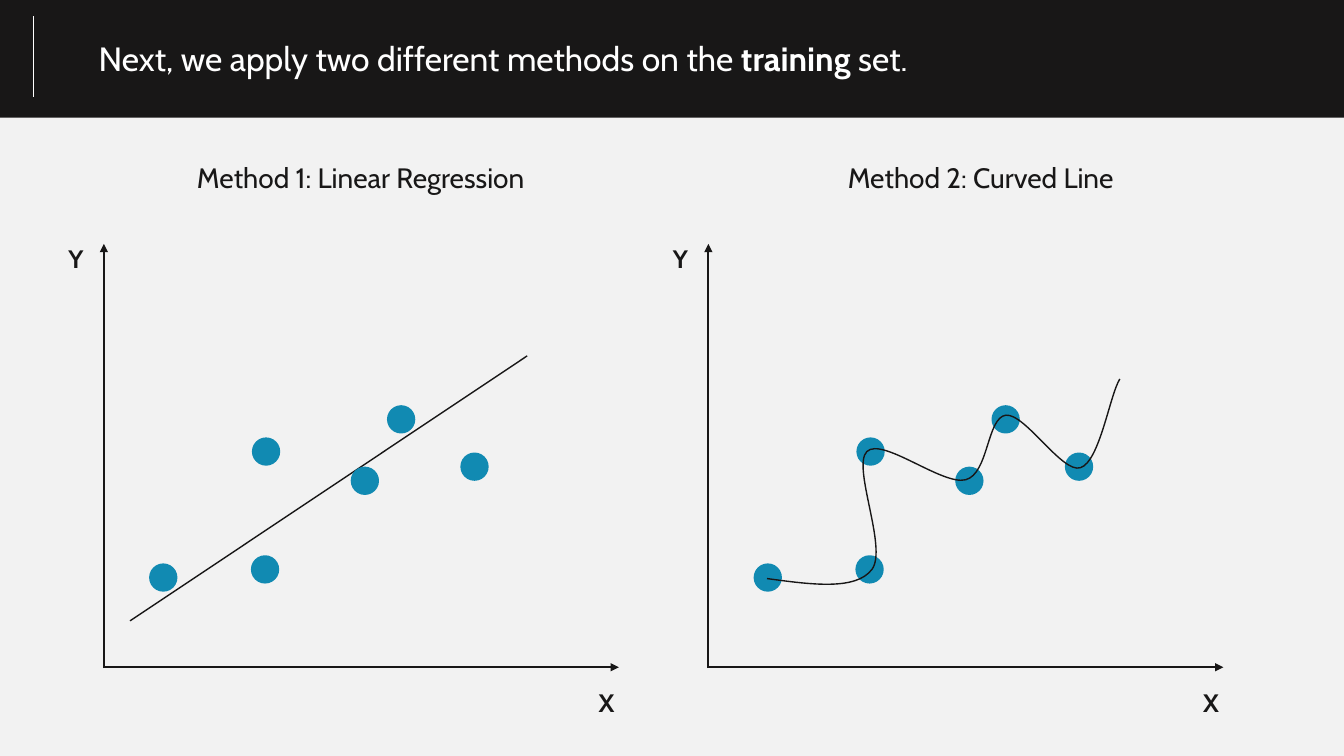
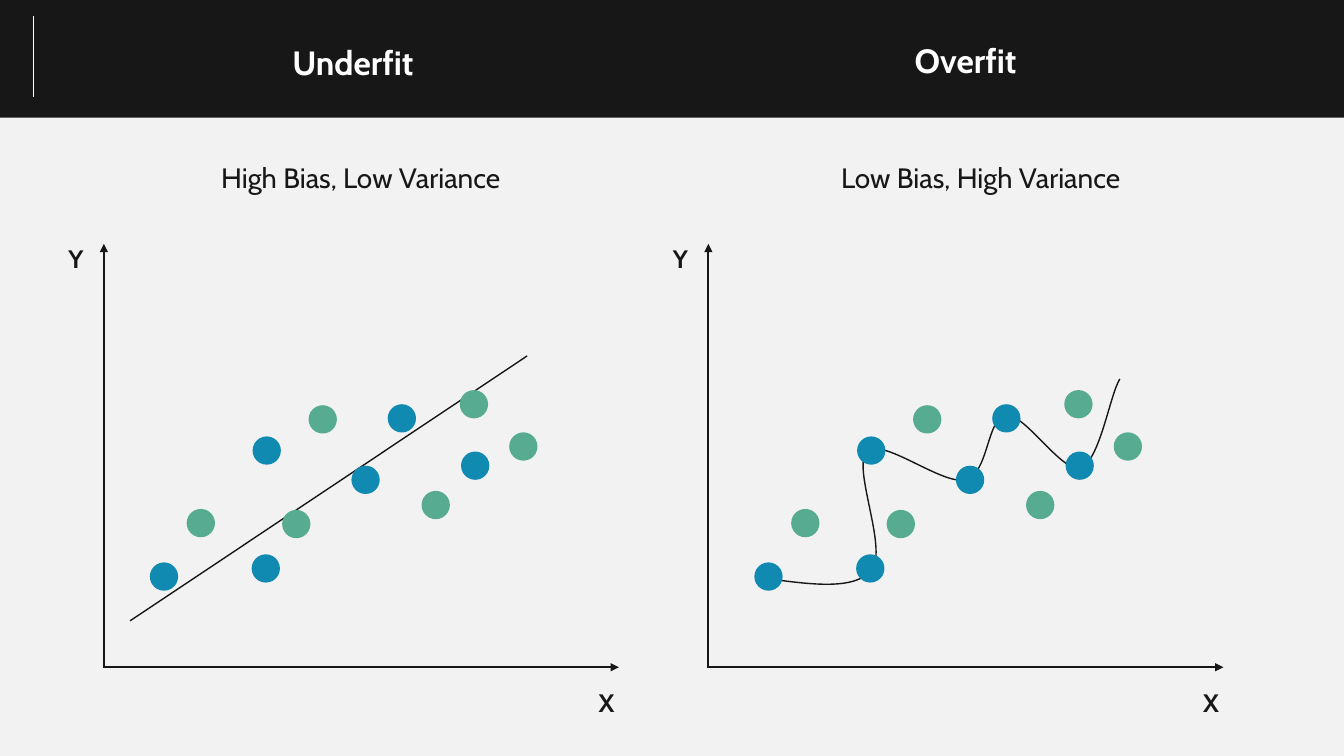
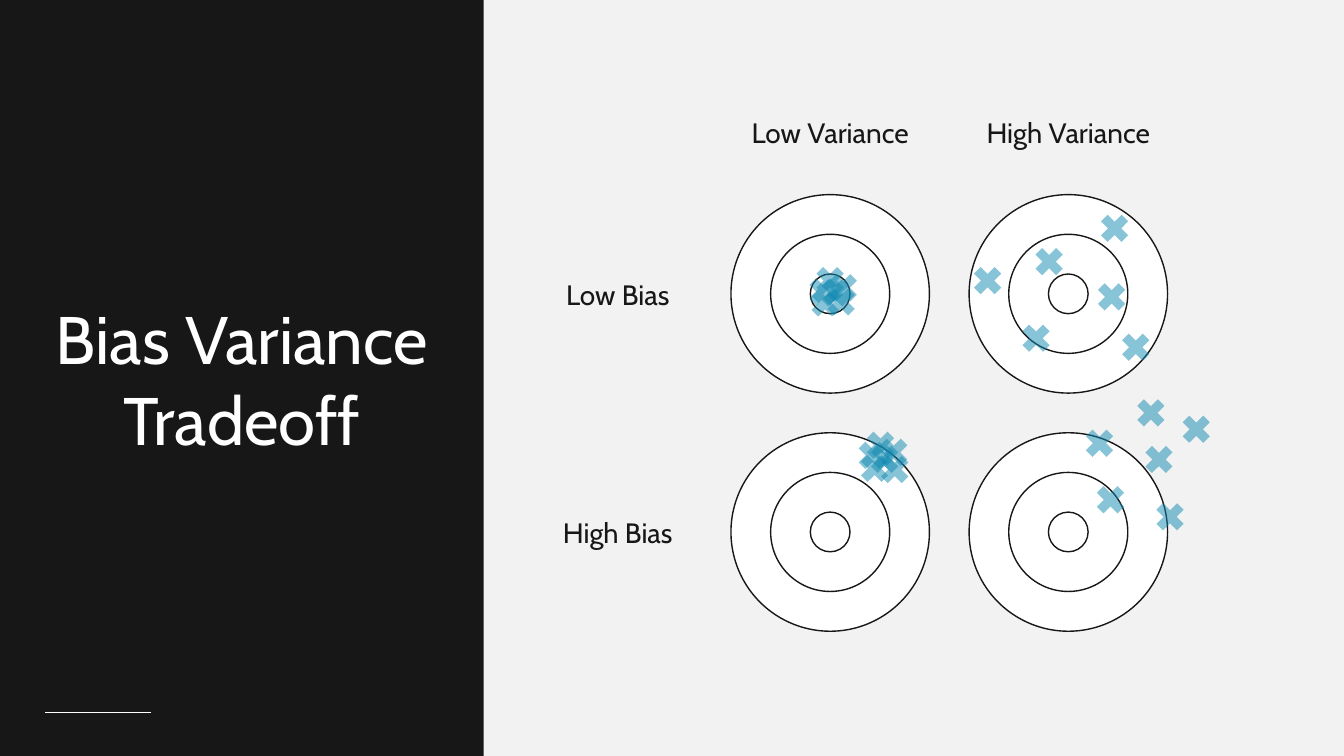
from itertools import product

from pptx import Presentation
from pptx.dml.color import RGBColor
from pptx.enum import shapes, text
from pptx.oxml.ns import qn
from pptx.oxml.xmlchemy import OxmlElement
from pptx.util import Pt

INK = RGBColor(0x18, 0x17, 0x17)
PAPER = RGBColor(0xF2, 0xF2, 0xF2)
WHITE = RGBColor(0xFF, 0xFF, 0xFF)
BLUE = RGBColor(0x11, 0x8A, 0xB2)
GREEN = RGBColor(0x56, 0xAB, 0x91)

FONT = "Cabin"
WIDTH, HEIGHT = 960, 540
BAND = 84
PLOT_GAP = 431.8
DOT = 18.7
RING = 28.35
TARGET_GAP = 6 * RING

TRAINING = [(107.3, 403.2), (251.3, 334.1), (180, 397.4),
            (180.7, 313.2), (329.6, 324), (277.2, 290.2)]
TEST = [(301.9, 351.4), (202.3, 365), (221.2, 290.2),
        (364.5, 309.6), (134.1, 364.3), (329.2, 279.4)]
CURVE = [(547.9, 413.3),
         (579.6, 417.6), (611.3, 421.9), (622.8, 406.8),
         (634.3, 391.7), (608.4, 333.4), (619.2, 322.6),
         (630, 311.8), (673.2, 347), (689.8, 342.7),
         (706.3, 338.4), (704.9, 298.1), (718.6, 296.6),
         (732.2, 295.2), (758.9, 338.4), (771.8, 334.1),
         (785.5, 329.8), (792.7, 282.2), (799.9, 270.7)]
HITS = {
    (0, 0): [(9.4, -4.3), (-3.6, 6.5), (3.6, -0.7), (0, -9.4), (-5, -1.4), (7.9, 5.8)],
    (0, 1): [(-57.6, -9.4), (31, 2.2), (33.1, -46.8), (-23, 31.7), (48.2, 38.2), (-13.7, -23)],
    (1, 0): [(45.4, -56.9), (31.7, -45.4), (38.9, -51.8), (36, -61.9), (30.2, -54.7), (46.1, -44.6)],
    (1, 1): [(59, -85), (64.8, -51.8), (22.3, -63.4), (91.4, -73.4), (72.7, -10.8), (30.2, -23)],
}


class Deck:
    """Shared style and the slide being drawn, with lengths in points."""

    def __init__(self):
        self.prs = Presentation()
        self.prs.slide_width, self.prs.slide_height = Pt(WIDTH), Pt(HEIGHT)
        self.s = None

    def slide(self):
        self.s = self.prs.slides.add_slide(self.prs.slide_layouts[6])
        fill = self.s.background.fill
        fill.solid()
        fill.fore_color.rgb = PAPER

    def shape(self, kind, x, y, w, h, color, line=None, weight=1.5, alpha=None):
        sp = self.s.shapes.add_shape(kind, Pt(x), Pt(y), Pt(w), Pt(h))
        sp.shadow.inherit = False
        sp.fill.solid()
        sp.fill.fore_color.rgb = color
        if line is None:
            sp.line.fill.background()
        else:
            sp.line.color.rgb = line
            sp.line.width = Pt(weight)
        if alpha is not None:
            node = OxmlElement("a:alpha")
            node.set("val", str(alpha * 1000))
            sp.fill._xPr.find(".//" + qn("a:srgbClr")).append(node)

    def rect(self, w, h):
        self.shape(shapes.MSO_SHAPE.RECTANGLE, 0, 0, w, h, INK)

    def dots(self, points, color, dx=0, dy=0):
        for x, y in points:
            self.shape(shapes.MSO_SHAPE.OVAL, x + dx, y + dy, DOT, DOT, color, color)

    def line(self, x1, y1, x2, y2, color=INK, weight=1, arrow=False):
        c = self.s.shapes.add_connector(
            shapes.MSO_CONNECTOR.STRAIGHT, Pt(x1), Pt(y1), Pt(x2), Pt(y2))
        c.line.color.rgb = color
        c.line.width = Pt(weight)
        if arrow:
            tail = OxmlElement("a:tailEnd")
            tail.set("type", "triangle")
            c.line._get_or_add_ln().append(tail)
        c._element.spPr.append(OxmlElement("a:effectLst"))

    def curve(self, points):
        start, *rest = [(Pt(x), Pt(y)) for x, y in points]
        builder = self.s.shapes.build_freeform(*start)
        builder.add_line_segments(rest, close=False)
        sp = builder.convert_to_shape()
        sp.shadow.inherit = False
        sp.fill.background()
        sp.line.color.rgb = INK
        sp.line.width = Pt(1)
        segments = list(sp._element.iter(qn("a:lnTo")))
        for i in range(0, len(segments), 3):
            bezier = OxmlElement("a:cubicBezTo")
            segments[i].addprevious(bezier)
            for segment in segments[i:i + 3]:
                bezier.append(segment[0])
                segment.getparent().remove(segment)

    def text(self, words, x, y, w, h, size=20, color=INK, bold=False, center=True):
        tf = self.s.shapes.add_textbox(Pt(x), Pt(y), Pt(w), Pt(h)).text_frame
        tf.word_wrap = True
        tf.auto_size = text.MSO_AUTO_SIZE.SHAPE_TO_FIT_TEXT
        p = tf.paragraphs[0]
        p.alignment = text.PP_ALIGN.CENTER if center else text.PP_ALIGN.LEFT
        p.font.name, p.font.size, p.font.bold = FONT, Pt(size), bold
        p.font.color.rgb = color
        for i, part in enumerate(words.split("*")):
            r = p.add_run()
            r.text = part
            r.font.name, r.font.size = FONT, Pt(size)
            r.font.bold = bold or i % 2 == 1
            r.font.color.rgb = color

    def plots(self, left_heading, right_heading):
        for dx in (0, PLOT_GAP):
            self.line(74.2, 477.2, 74.2, 174.2, weight=1.5, arrow=True)if dx == 0 else \
                self.line(74.2 + dx, 477.2, 74.2 + dx, 174.2, weight=1.5, arrow=True)
            self.line(74.2 + dx, 476.6, 442.1 + dx, 476.6, weight=1.5, arrow=True)
            self.text("X", 420.5 + dx, 487.4, 42.5, 29, 18, bold=True, center=False)
            self.text("Y", 41.8 + dx, 169.9, 42.5, 29, 18, bold=True, center=False)
        self.text(left_heading, 119.5, 110.9, 276.5, 31.5)
        self.text(right_heading, 562.3, 110.9, 276.5, 31.5)
        self.line(92.9, 443.5, 376.6, 254.2)

    def header(self):
        self.rect(WIDTH, BAND)
        self.line(23.8, 11.5, 23.8, 69.1, WHITE, 0.5)

    def target(self, cx, cy, hits):
        for rings in (5, 3, 1):
            d = rings * RING
            self.shape(shapes.MSO_SHAPE.OVAL, cx - d / 2, cy - d / 2, d, d, WHITE, INK, 1)
        for dx, dy in hits:
            self.shape(shapes.MSO_SHAPE.MATH_MULTIPLY, cx + dx - RING / 2,
                       cy + dy - RING / 2, RING, RING, BLUE, alpha=50)


def methods(deck):
    deck.slide()
    deck.plots("Method 1: Linear Regression", "Method 2: Curved Line")
    for dx in (0, PLOT_GAP):
        deck.dots(TRAINING, BLUE, dx)
    deck.curve(CURVE)
    deck.header()
    deck.text("Next, we apply two different methods on the *training* set.",
              63.4, 23.8, 703.4, 36, 24, WHITE, center=False)


def fits(deck):
    deck.slide()
    deck.plots("High Bias, Low Variance", "Low Bias, High Variance")
    deck.curve(CURVE)
    for dx in (0, PLOT_GAP):
        deck.dots(TEST, GREEN, dx)
        deck.dots(TRAINING, BLUE, dx + 0.5, -0.7)
    deck.header()
    deck.text("Underfit", 113.8, 26.6, 276.5, 36, 24, WHITE, bold=True)
    deck.text("Overfit", 551.5, 24.8, 276.5, 36, 24, WHITE, bold=True)


def tradeoff(deck):
    deck.slide()
    for row, col in product(range(2), repeat=2):
        deck.target(593 + col * TARGET_GAP, 209.9 + row * TARGET_GAP, HITS[row, col])
    for i, level in enumerate(("Low", "High")):
        deck.text(level + " Variance", 522.1 + i * TARGET_GAP, 79.2, 5 * RING, 31.5)
        deck.text(level + " Bias", 388.8, 194.4 + i * TARGET_GAP, 105, 31.5)
    deck.rect(345.4, HEIGHT)
    deck.line(108, 509, 32.4, 509, WHITE, 0.5)
    deck.text("Bias Variance Tradeoff", 28.1, 208.8, 289.4, 123.8, 48, WHITE)


def main():
    deck = Deck()
    methods(deck)
    fits(deck)
    tradeoff(deck)
    deck.prs.save("out.pptx")


if __name__ == "__main__":
    main()
